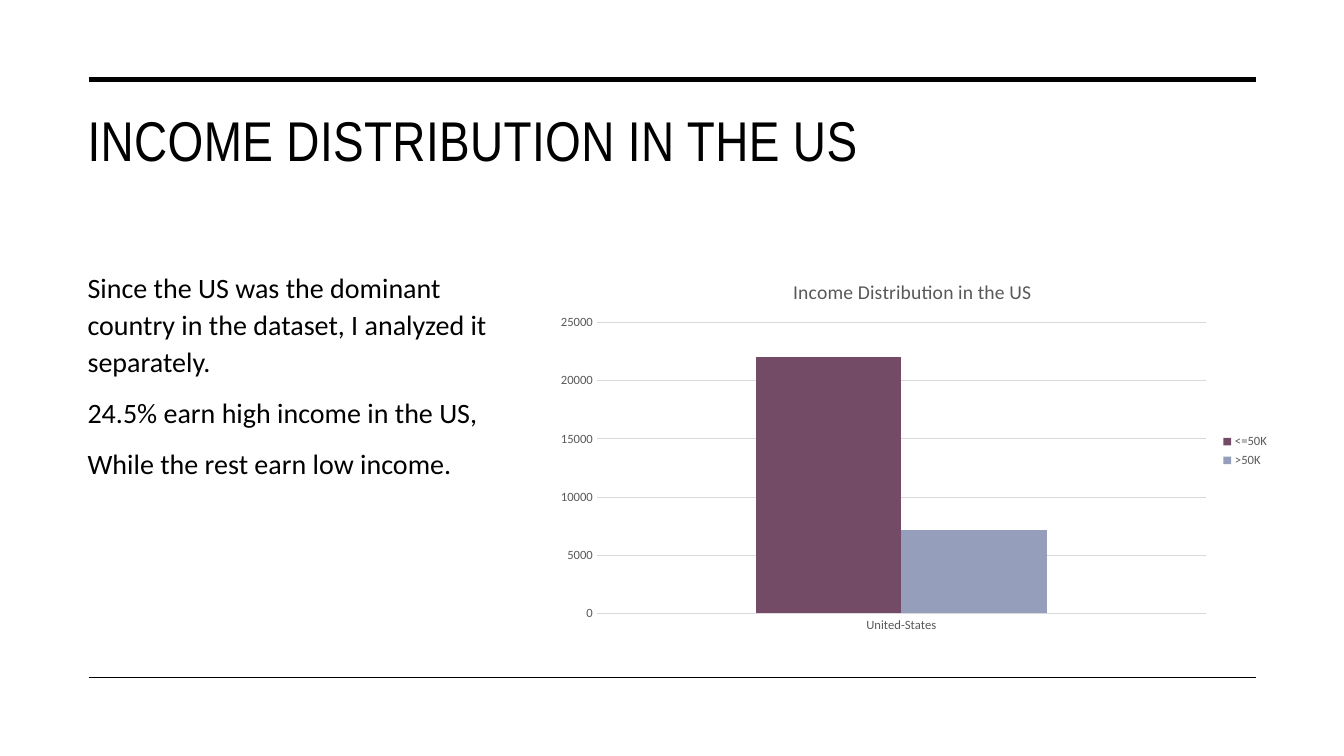
from lxml import etree
from pptx import Presentation
from pptx.chart.data import CategoryChartData
from pptx.dml.color import RGBColor
from pptx.enum import chart as ch, shapes, text
from pptx.oxml import parse_xml
from pptx.oxml.ns import nsdecls, qn
from pptx.util import Inches, Pt

BLACK = RGBColor(0x00, 0x00, 0x00)
GRAY = RGBColor(0x59, 0x59, 0x59)
PALE = RGBColor(0xD9, 0xD9, 0xD9)
PLUM = RGBColor(0x73, 0x4B, 0x67)
BLUE = RGBColor(0x95, 0x9E, 0xBB)

HEAD = "INCOME DISTRIBUTION IN THE US"
BODY = [
    "Since the US was the dominant country in the dataset, I analyzed it separately.",
    "24.5% earn high income in the US,",
    "While the rest earn low income.",
]
RULES = [(0.79, 3.5), (6.72, 1)]  # height on the slide, line width
TITLE = "Income Distribution in the US"
CATS = ["United-States"]
SERIES = [("<=50K", [22000], PLUM), (">50K", [7200], BLUE)]
PLOT = {"x": 0.07, "y": 0.16, "w": 0.83, "h": 0.77}  # shares of the chart


def style(font, size, color, name="Calibri"):
    font.size, font.name, font.bold = Pt(size), name, False
    font.color.rgb = color


def add_rule(slide, y, width):
    rule = slide.shapes.add_connector(
        shapes.MSO_CONNECTOR.STRAIGHT, Inches(0.88), Inches(y), Inches(12.46), Inches(y))
    rule.line.color.rgb = BLACK
    rule.line.width = Pt(width)
    etree.SubElement(rule._element.spPr, qn("a:effectLst"))


def add_text(slide, box, lines, size, name, gap=0, lead=1.0):
    frame = slide.shapes.add_textbox(*map(Inches, box)).text_frame
    frame.word_wrap = True
    frame.vertical_anchor = text.MSO_ANCHOR.TOP
    for i, line in enumerate(lines):
        para = frame.add_paragraph() if i else frame.paragraphs[0]
        para.line_spacing = lead
        para.space_before = Pt(gap if i else 0)
        run = para.add_run()
        run.text = line
        style(run.font, size, BLACK, name)
    return frame


def add_chart(slide, box):
    data = CategoryChartData()
    data.categories = CATS
    for name, vals, _ in SERIES:
        data.add_series(name, vals)
    chart = slide.shapes.add_chart(
        ch.XL_CHART_TYPE.COLUMN_CLUSTERED, *map(Inches, box), data).chart
    style(chart.font, 10, BLACK)

    chart.has_title = True
    run = chart.chart_title.text_frame.paragraphs[0].add_run()
    run.text = TITLE
    style(run.font, 14, GRAY)
    chart.chart_title.include_in_layout = False

    chart.has_legend = True
    chart.legend.position = ch.XL_LEGEND_POSITION.RIGHT
    chart.legend.include_in_layout = False
    style(chart.legend.font, 9, GRAY)

    plot = chart.plots[0]
    plot.gap_width, plot.overlap = 219, 0
    plot.vary_by_categories = False
    for bar, (_, _, color) in zip(plot.series, SERIES):
        bar.format.fill.solid()
        bar.format.fill.fore_color.rgb = color

    cat, val = chart.category_axis, chart.value_axis
    for axis in (cat, val):
        axis.major_tick_mark = axis.minor_tick_mark = ch.XL_TICK_MARK.NONE
        style(axis.tick_labels.font, 9, GRAY)
    val.minimum_scale, val.maximum_scale, val.major_unit = 0, 25000, 5000
    val.format.line.fill.background()
    for line in (cat.format.line, val.major_gridlines.format.line):
        line.color.rgb = PALE
        line.width = Pt(0.75)

    area = chart._chartSpace.chart.plotArea
    for old in area.findall(qn("c:layout")):
        area.remove(old)
    parts = '<c:layoutTarget val="inner"/><c:xMode val="edge"/><c:yMode val="edge"/>'
    parts += "".join(f'<c:{key} val="{share}"/>' for key, share in PLOT.items())
    area.insert(0, parse_xml(
        f'<c:layout {nsdecls("c")}><c:manualLayout>{parts}</c:manualLayout></c:layout>'))


def main():
    deck = Presentation()
    deck.slide_width, deck.slide_height = Inches(13.33), Inches(7.5)
    slide = deck.slides.add_slide(deck.slide_layouts[6])
    for y, width in RULES:
        add_rule(slide, y, width)
    head = add_text(slide, (0.77, 1, 11.69, 1.43), [HEAD], 40, "Arial Narrow")
    head.paragraphs[0].runs[0].font._element.set("spc", "30")
    add_text(slide, (0.77, 2.6, 4.39, 3.92), BODY, 20, "Calibri", gap=10, lead=1.1)
    add_chart(slide, (5.41, 2.6, 7.28, 3.75))
    deck.save("out.pptx")


if __name__ == "__main__":
    main()
